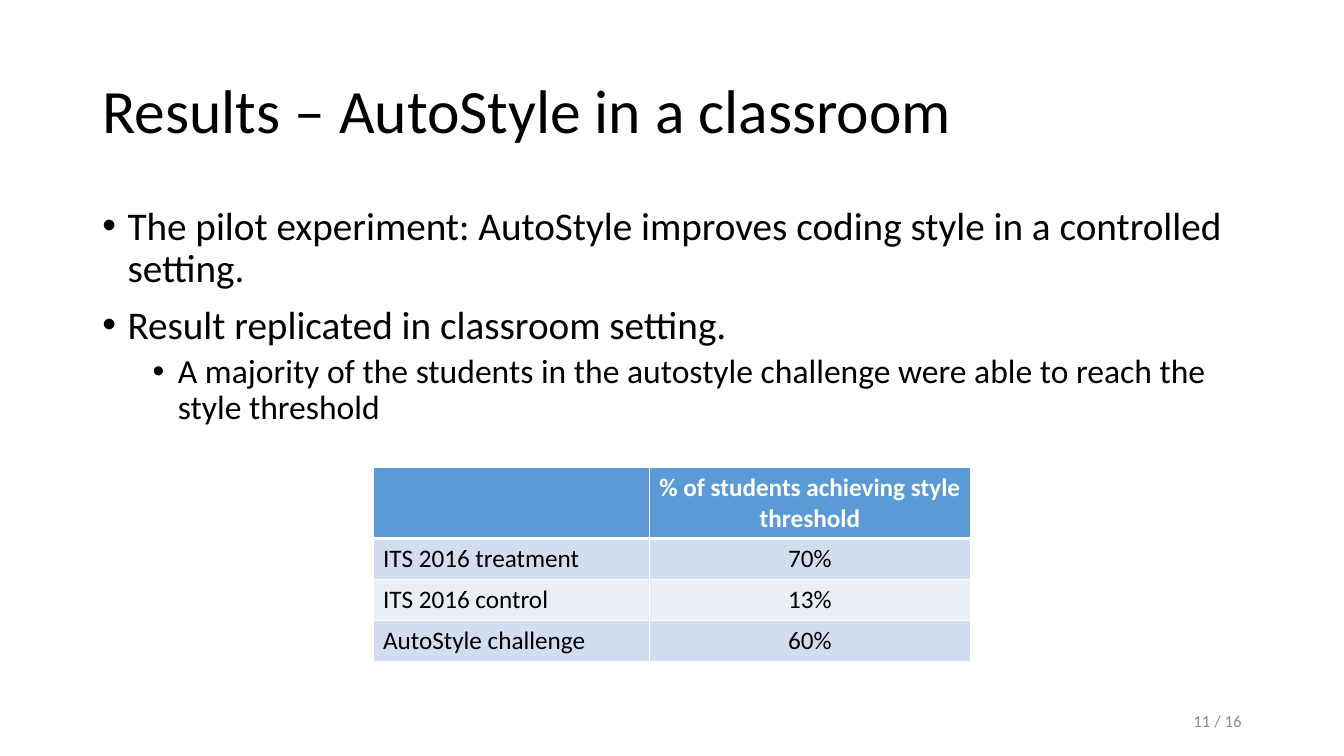
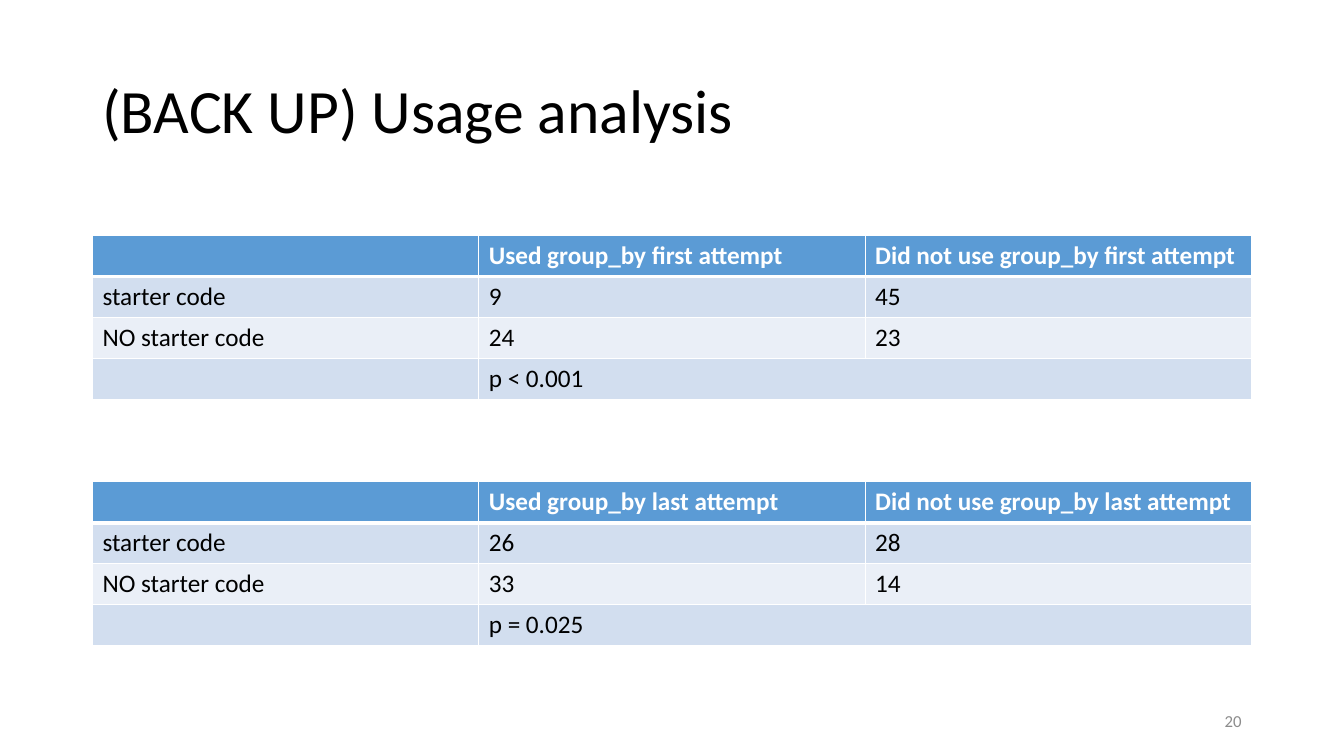
"""Build two slides on AutoStyle classroom results and usage analysis."""
from dataclasses import dataclass

from lxml.etree import SubElement
from pptx import Presentation
from pptx.dml.color import RGBColor
from pptx.enum.text import MSO_ANCHOR as Anchor, PP_ALIGN as Align
from pptx.oxml.ns import qn
from pptx.slide import Slide
from pptx.table import _Cell as Cell
from pptx.text.text import TextFrame
from pptx.util import Cm, Pt


@dataclass(frozen=True)
class Theme:
    font: str = "Calibri"
    ink: str = "000000"
    paper: str = "FFFFFF"
    muted: str = "8C8C8C"
    header: str = "5B9BD5"
    bands: tuple[str, str] = ("D2DEEF", "EAEFF7")
    title_size: int = 44
    point_sizes: tuple[int, int] = (28, 24)
    table_size: int = 18
    page_size: int = 12
    thin_rule: int = 1
    thick_rule: int = 3


@dataclass(frozen=True)
class Box:
    left: float
    top: float
    width: float
    height: float


@dataclass(frozen=True)
class Point:
    text: str
    level: int = 0


@dataclass(frozen=True)
class Grid:
    left: float
    top: float
    columns: tuple[float, ...]
    rows: tuple[tuple[str | None, ...], ...]
    header_height: float = 1.03
    value_align: Align = Align.LEFT


THEME = Theme()
ROW_HEIGHT = 1.03
MARGIN = 2.33
CONTENT_WIDTH = 29.21
TITLE = Box(MARGIN, 1.02, CONTENT_WIDTH, 3.68)
BODY = Box(MARGIN, 5.08, CONTENT_WIDTH, 12.09)
PAGE = Box(23.92, 17.65, 7.62, 1.01)

FINDINGS = (
    Point("The pilot experiment: AutoStyle improves coding style in a controlled setting."),
    Point("Result replicated in classroom setting."),
    Point("A majority of the students in the autostyle challenge were able to reach "
          "the style threshold", 1),
)
THRESHOLDS = Grid(
    9.4, 11.79, (6.96, 8.1),
    (("", "% of students achieving style threshold"),
     ("ITS 2016 treatment", "70%"),
     ("ITS 2016 control", "13%"),
     ("AutoStyle challenge", "60%")),
    header_height=1.78, value_align=Align.CENTER,
)


def usage_grid(top: float, attempt: str, starter: tuple[str, str],
               no_starter: tuple[str, str], significance: str) -> Grid:
    """Describe group_by usage at one attempt."""
    return Grid(MARGIN, top, (CONTENT_WIDTH / 3,) * 3, (
        ("", f"Used group_by {attempt} attempt", f"Did not use group_by {attempt} attempt"),
        ("starter code", *starter),
        ("NO starter code", *no_starter),
        ("", significance, None),
    ))


USAGE = (
    usage_grid(5.94, "first", ("9", "45"), ("24", "23"), "p < 0.001"),
    usage_grid(12.14, "last", ("26", "28"), ("33", "14"), "p = 0.025"),
)


def write(frame: TextFrame, text: str, *, size: int, color: str = THEME.ink,
          bold: bool = False, align: Align = Align.LEFT, spacing: float = 1.0,
          bullet_level: int | None = None) -> None:
    """Write one formatted paragraph, after any text already in the frame."""
    first = not frame.text
    line = frame.paragraphs[0] if first else frame.add_paragraph()
    if bullet_level is not None:
        line.level = bullet_level
        props = line._p.get_or_add_pPr()
        props.set("marL", str(Cm(0.635 + 1.27 * bullet_level)))
        props.set("indent", str(-Cm(0.635)))
        SubElement(props, qn("a:buFont"), typeface="Arial")
        SubElement(props, qn("a:buChar"), char="•")
        line.space_before = Pt(0 if first else 5 if bullet_level else 10)
    line.alignment = align
    line.line_spacing = spacing
    line.font.size = Pt(size)
    line.font.name = THEME.font
    line.font.bold = bold
    line.font.color.rgb = RGBColor.from_string(color)
    line.text = text


def add_frame(slide: Slide, box: Box, anchor: Anchor = Anchor.MIDDLE) -> TextFrame:
    """Add a wrapping text area."""
    frame = slide.shapes.add_textbox(
        Cm(box.left), Cm(box.top), Cm(box.width), Cm(box.height)).text_frame
    frame.word_wrap = True
    frame.vertical_anchor = anchor
    return frame


def style_cell(cell: Cell, row: int) -> None:
    """Rule and fill a cell according to its row."""
    props = cell._tc.get_or_add_tcPr()
    thick_side = {0: "lnB", 1: "lnT"}.get(row)
    for side in ("lnL", "lnR", "lnT", "lnB"):
        width = THEME.thick_rule if side == thick_side else THEME.thin_rule
        rule = SubElement(props, qn(f"a:{side}"), w=str(Pt(width)))
        SubElement(SubElement(rule, qn("a:solidFill")), qn("a:srgbClr"), val=THEME.paper)
    cell.fill.solid()
    fill = THEME.bands[(row - 1) % 2] if row else THEME.header
    cell.fill.fore_color.rgb = RGBColor.from_string(fill)


def add_grid(slide: Slide, grid: Grid) -> None:
    """Add a table, merging each None cell into the one on its left."""
    heights = (grid.header_height,) + (ROW_HEIGHT,) * (len(grid.rows) - 1)
    table = slide.shapes.add_table(
        len(grid.rows), len(grid.columns), Cm(grid.left), Cm(grid.top),
        Cm(sum(grid.columns)), Cm(sum(heights))).table
    for column, width in zip(table.columns, grid.columns):
        column.width = Cm(width)
    for r, (values, height) in enumerate(zip(grid.rows, heights)):
        table.rows[r].height = Cm(height)
        for c, value in enumerate(values):
            cell = table.cell(r, c)
            style_cell(cell, r)
            if value is None:
                table.cell(r, c - 1).merge(cell)
            else:
                write(cell.text_frame, value, size=THEME.table_size, bold=r == 0,
                      color=THEME.ink if r else THEME.paper,
                      align=grid.value_align if c else Align.LEFT)


def add_slide(deck: Presentation, title: str, page: str) -> Slide:
    """Add a slide with its title and page number."""
    slide = deck.slides.add_slide(deck.slide_layouts[6])
    write(add_frame(slide, TITLE), title, size=THEME.title_size, spacing=0.9)
    write(add_frame(slide, PAGE), page, size=THEME.page_size,
          color=THEME.muted, align=Align.RIGHT)
    return slide


def main() -> None:
    """Build and save the deck."""
    deck = Presentation()
    deck.slide_width, deck.slide_height = Cm(33.87), Cm(19.05)

    results = add_slide(deck, "Results – AutoStyle in a classroom", "11 / 16")
    findings = add_frame(results, BODY, Anchor.TOP)
    for point in FINDINGS:
        write(findings, point.text, size=THEME.point_sizes[point.level],
              spacing=0.9, bullet_level=point.level)
    add_grid(results, THRESHOLDS)

    analysis = add_slide(deck, "(BACK UP) Usage analysis", "20")
    for grid in USAGE:
        add_grid(analysis, grid)

    deck.save("out.pptx")


if __name__ == "__main__":
    main()
